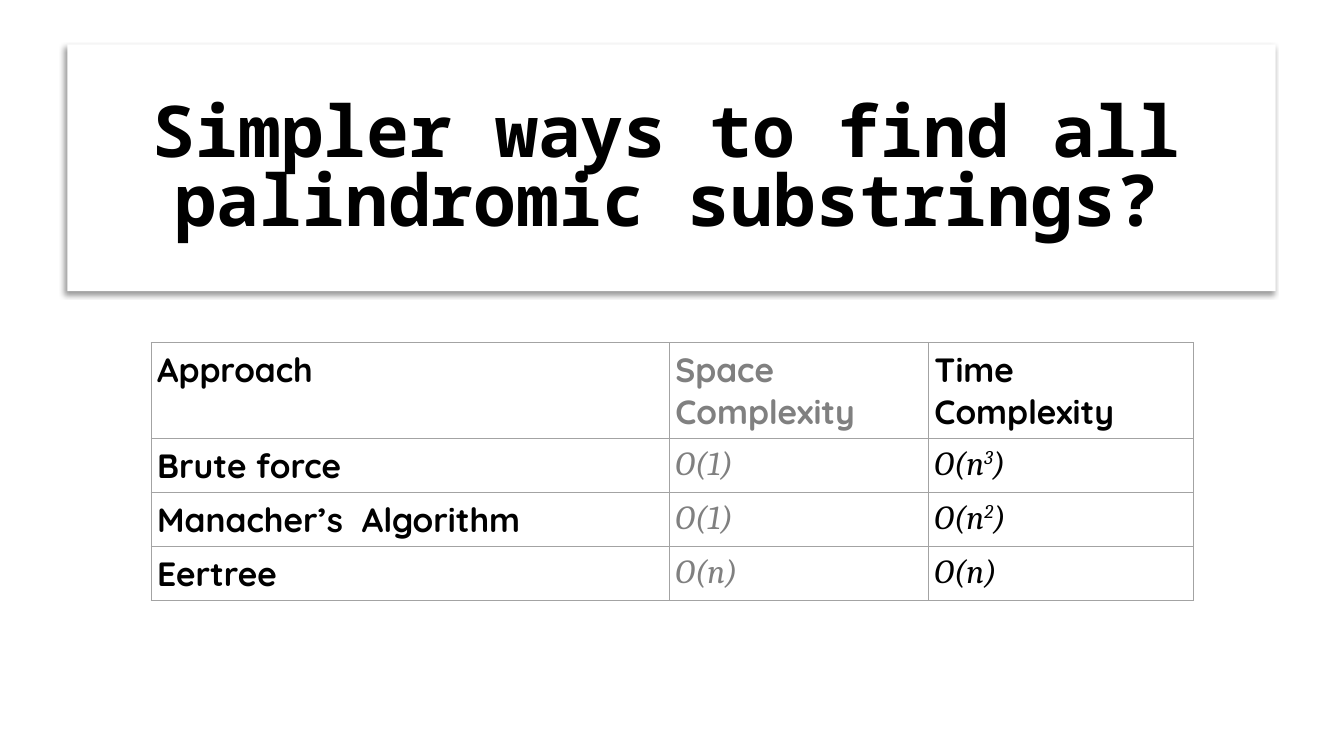
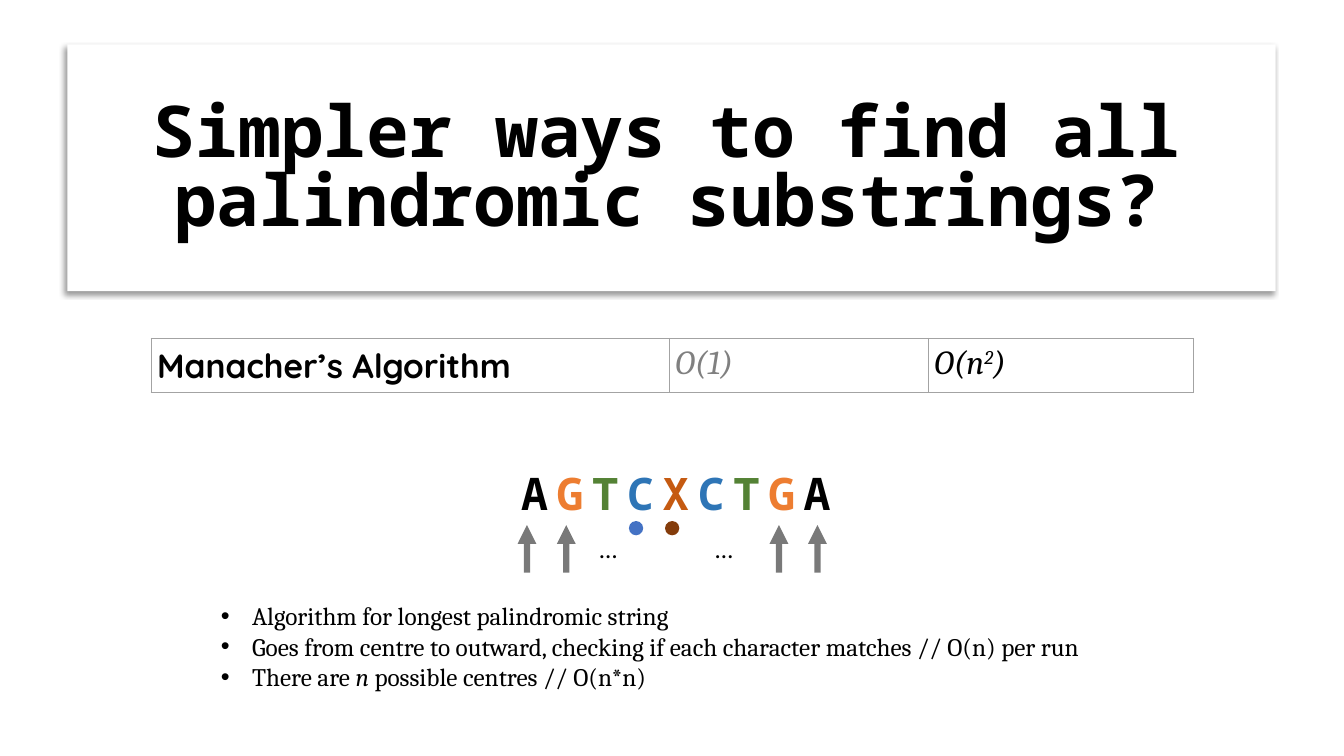
"""Build two slides that compare ways to find palindromic substrings."""
from lxml.etree import SubElement
from pptx import Presentation
from pptx.dml.color import RGBColor
from pptx.enum.shapes import MSO_CONNECTOR as Connector, MSO_SHAPE as Shape
from pptx.enum.text import MSO_ANCHOR as Anchor, MSO_AUTO_SIZE as AutoSize, PP_ALIGN as Align
from pptx.oxml import parse_xml
from pptx.oxml.ns import nsdecls, qn
from pptx.util import Cm, Pt

BLACK = RGBColor(0x00, 0x00, 0x00)
WHITE = RGBColor(0xFF, 0xFF, 0xFF)
GREY = RGBColor(0x80, 0x80, 0x80)
BORDER = RGBColor(0xA3, 0xA3, 0xA3)
ARROW = RGBColor(0x14, 0x14, 0x14)
ORANGE = RGBColor(0xED, 0x7D, 0x31)
GREEN = RGBColor(0x54, 0x82, 0x35)
BLUE = RGBColor(0x2E, 0x75, 0xB6)
RUST = RGBColor(0xC5, 0x5A, 0x11)
BROWN = RGBColor(0x84, 0x3C, 0x0B)
DOT_BLUE = RGBColor(0x44, 0x72, 0xC4)

MONO, SANS, SERIF, ELLIPSIS_FONT = "Noto Sans Mono", "Quicksand", "Cambria", "Calibri"

TITLE = "Simpler ways to find all palindromic substrings?"
HEADINGS = ("Approach", "Space Complexity", "Time Complexity")
APPROACHES = [
    ("Brute force", "O(1)", ("O(n", "3", ")")),
    ("Manacher’s  Algorithm", "O(1)", ("O(n", "2", ")")),
    ("Eertree", "O(n)", ("O(n)",)),
]
MANACHER = ("Manacher’s Algorithm", "O(1)", ("O(n", "2", ")"))
BULLETS = [
    [("Algorithm for longest palindromic string", False)],
    [("Goes from centre to outward, checking if each character matches // O(n) per run", False)],
    [("There are ", False), ("n", True), (" possible centres // O(n*n)", False)],
]
SEQUENCE = "AGTCXCTGA"
LETTER_COLORS = {"A": BLACK, "G": ORANGE, "T": GREEN, "C": BLUE, "X": RUST}
DOTS = [(15.85, DOT_BLUE), (16.76, BROWN)]
ARROWS = [13.28, 14.27, 19.63, 20.6]
ELLIPSES = [14.86, 17.78]

COLUMN_WIDTHS = (13.06, 6.53, 6.68)
COLUMN_COLORS = (BLACK, GREY, BLACK)
TABLE_LEFT, HEADING_HEIGHT, ROW_HEIGHT = 3.81, 2.39, 1.34


def place(shape, left, top, width, height):
    """Set a shape's box, given in centimetres."""
    shape.left, shape.top, shape.width, shape.height = map(Cm, (left, top, width, height))


def add_run(paragraph, text, font=SERIF, size=18, color=BLACK, bold=False, italic=False, **attributes):
    """Append formatted text; extra arguments become run attributes."""
    run = paragraph.add_run()
    run.text = text
    run.font.name, run.font.size = font, Pt(size)
    run.font.bold, run.font.italic = bold, italic
    run.font.color.rgb = color
    for name, value in attributes.items():
        run._r.get_or_add_rPr().set(name, str(value))


def add_slide(presentation, layout_index):
    """Add a slide with the shared rounded title band."""
    slide = presentation.slides.add_slide(presentation.slide_layouts[layout_index])
    title = slide.shapes.title
    place(title, 1.7, 1.12, 30.45, 6.22)
    properties = title._element.spPr
    properties.append(parse_xml(
        f'<a:prstGeom {nsdecls("a")} prst="roundRect"><a:avLst>'
        '<a:gd name="adj" fmla="val 50000"/></a:avLst></a:prstGeom>'))
    title.fill.solid()
    title.fill.fore_color.rgb = WHITE
    properties.append(parse_xml(
        f'<a:effectLst {nsdecls("a")}><a:outerShdw blurRad="{Pt(4)}" dist="{Pt(3)}" '
        'dir="8100000" rotWithShape="0"><a:srgbClr val="000000"><a:alpha val="40000"/>'
        '</a:srgbClr></a:outerShdw></a:effectLst>'))
    frame = title.text_frame
    frame.auto_size, frame.word_wrap, frame.vertical_anchor = AutoSize.NONE, True, Anchor.MIDDLE
    frame.margin_left, frame.margin_top = Cm(0), Cm(0.3)
    frame.margin_right, frame.margin_bottom = Cm(0.25), Cm(0.13)
    paragraph = frame.paragraphs[0]
    paragraph.alignment, paragraph.line_spacing = Align.CENTER, 0.8
    add_run(paragraph, TITLE, font=MONO, size=51, bold=True)
    return slide


def format_cell(cell):
    """Give a cell its margins, no fill and thin borders."""
    cell.margin_left = cell.margin_right = cell.margin_top = cell.margin_bottom = Cm(0.15)
    cell.fill.background()
    for index, side in enumerate(("lnL", "lnR", "lnT", "lnB")):
        cell._tc.get_or_add_tcPr().insert(index, parse_xml(
            f'<a:{side} {nsdecls("a")} w="{Pt(1)}"><a:solidFill>'
            f'<a:srgbClr val="{BORDER}"/></a:solidFill></a:{side}>'))


def add_complexity_table(slide, top, rows, headings=None):
    """Add approaches with their complexities, under optional headings."""
    lines = ([headings] if headings else []) + rows
    heights = ([HEADING_HEIGHT] if headings else []) + [ROW_HEIGHT] * len(rows)
    box = map(Cm, (TABLE_LEFT, top, sum(COLUMN_WIDTHS), sum(heights)))
    table = slide.shapes.add_table(len(lines), len(COLUMN_WIDTHS), *box).table
    table.first_row = table.horz_banding = False
    for column, width in zip(table.columns, COLUMN_WIDTHS):
        column.width = Cm(width)
    for row, height, line in zip(table.rows, heights, lines):
        row.height = Cm(height)
        for index, (cell, content) in enumerate(zip(row.cells, line)):
            format_cell(cell)
            label = index == 0 or line is headings
            parts = (content,) if isinstance(content, str) else content
            for part in parts:
                raised = {"baseline": 30000} if part.isdigit() else {}
                add_run(cell.text_frame.paragraphs[0], part, font=SANS if label else SERIF,
                        size=24, color=COLUMN_COLORS[index], bold=label, italic=not label, **raised)


def add_bullets(slide):
    """Fill the body placeholder with the bullet list."""
    body = slide.placeholders[1]
    place(body, 5.31, 15.01, 23.27, 3.33)
    frame = body.text_frame
    frame.auto_size, frame.word_wrap = AutoSize.NONE, True
    for index, parts in enumerate(BULLETS):
        paragraph = frame.add_paragraph() if index else frame.paragraphs[0]
        paragraph.space_before = Pt(0)
        properties = paragraph._p.get_or_add_pPr()
        properties.set("marL", str(Cm(0.79)))
        properties.set("indent", str(-Cm(0.79)))
        SubElement(properties, qn("a:buFont"), typeface="Arial")
        SubElement(properties, qn("a:buChar"), char="•")
        for text, italic in parts:
            add_run(paragraph, text, italic=italic)


def add_text_box(slide, left, top, width, height, wrap):
    """Add a text box and return its first paragraph."""
    frame = slide.shapes.add_textbox(*map(Cm, (left, top, width, height))).text_frame
    frame.word_wrap = wrap
    return frame.paragraphs[0]


def add_arrow(slide, x):
    """Add a translucent arrow pointing up at a letter."""
    arrow = slide.shapes.add_connector(Connector.STRAIGHT, Cm(x), Cm(14.43), Cm(x), Cm(13.23))
    arrow.line.width = Pt(4.5)
    arrow.line.color.rgb = ARROW
    properties = arrow._element.spPr
    SubElement(properties.find(".//" + qn("a:srgbClr")), qn("a:alpha"), val="56000")
    SubElement(properties.find(qn("a:ln")), qn("a:tailEnd"), type="triangle")
    SubElement(properties, qn("a:effectLst"))


def add_sequence(slide):
    """Draw the palindrome with its centres and matching arrows."""
    paragraph = add_text_box(slide, 11.89, 11.61, 10.29, 1.63, wrap=True)
    paragraph.alignment = Align.CENTER
    for letter in SEQUENCE:
        add_run(paragraph, letter, font=MONO, size=32, color=LETTER_COLORS[letter], bold=True, spc=600)
    for left, color in DOTS:
        dot = slide.shapes.add_shape(Shape.OVAL, *map(Cm, (left, 13.13, 0.36, 0.36)))
        dot.shadow.inherit = False
        dot.fill.solid()
        dot.fill.fore_color.rgb = color
        dot.line.fill.background()
    for x in ARROWS:
        add_arrow(slide, x)
    for left in ELLIPSES:
        add_run(add_text_box(slide, left, 13.31, 0.97, 1.02, wrap=False), "…", font=ELLIPSIS_FONT)


def main():
    """Build and save the presentation."""
    presentation = Presentation()
    presentation.slide_width, presentation.slide_height = Cm(33.87), Cm(19.05)
    comparison = add_slide(presentation, 5)
    add_complexity_table(comparison, 8.64, APPROACHES, HEADINGS)
    manacher = add_slide(presentation, 1)
    add_complexity_table(manacher, 8.53, [MANACHER])
    add_bullets(manacher)
    add_sequence(manacher)
    presentation.save("out.pptx")


if __name__ == "__main__":
    main()
